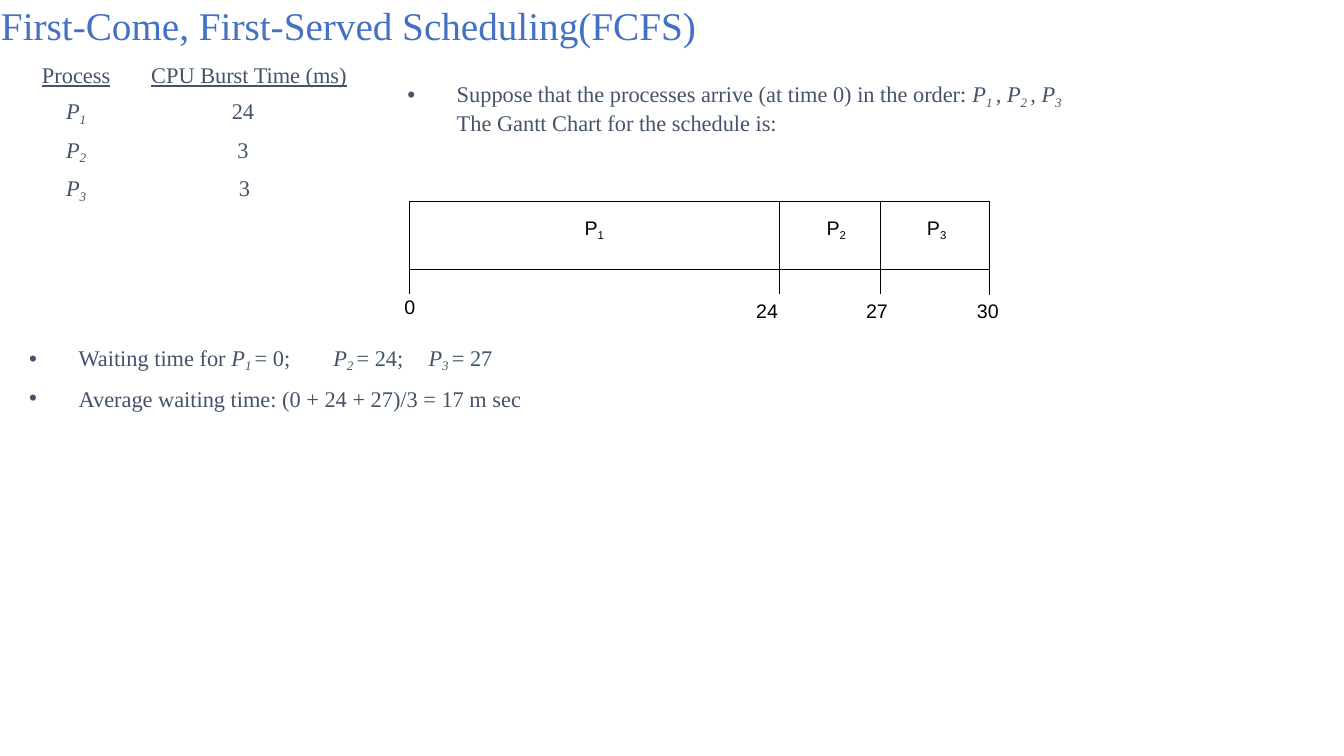
"""Build a slide that explains first-come, first-served scheduling."""
from lxml.etree import SubElement
from pptx import Presentation
from pptx.dml.color import RGBColor
from pptx.enum.text import MSO_ANCHOR, MSO_AUTO_SIZE, PP_ALIGN
from pptx.oxml.ns import qn
from pptx.util import Inches, Pt


def color(hex_value):
    return RGBColor.from_string(hex_value)


def write(paragraph, text, font="Times New Roman", size=16, fill="44536A",
          underline=False, italic=True, align=PP_ALIGN.LEFT, before=0,
          line=None, margin=0.0, indent=0.0):
    paragraph.alignment = align
    paragraph.space_before = Pt(before)
    if line:
        paragraph.line_spacing = Pt(line)
    properties = paragraph._p.get_or_add_pPr()
    properties.set("marL", str(Inches(margin)))
    properties.set("indent", str(Inches(indent)))
    properties.set("defTabSz", str(Inches(1)))
    if not indent:
        SubElement(properties, qn("a:buNone"))
    for position, piece in enumerate(text.split("|")):
        is_process = position % 2 == 1
        parts = (piece[0], piece[1:]) if is_process else (piece,)
        for level, part in enumerate(parts):
            if not part:
                continue
            run = paragraph.add_run()
            run.text = part
            run.font.name = font
            run.font.size = Pt(size)
            run.font.color.rgb = color(fill)
            run.font.underline = underline
            run.font.italic = italic and is_process
            if level:
                run.font._element.set("baseline", "-21000")
    if not text:
        SubElement(paragraph._p, qn("a:endParaRPr"), sz=str(size * 100))


class SlideBuilder:
    def __init__(self, presentation):
        self.slide = presentation.slides.add_slide(presentation.slide_layouts[3])
        self.line_color = "000000"
        self.line_width = Pt(0.75)

    def text(self, shape, box, paragraphs, top_inset=0.01):
        shape.left, shape.top, shape.width, shape.height = map(Inches, box)
        frame = shape.text_frame
        frame.word_wrap = True
        frame.auto_size = MSO_AUTO_SIZE.SHAPE_TO_FIT_TEXT
        frame.vertical_anchor = MSO_ANCHOR.TOP
        frame.margin_left = frame.margin_right = frame.margin_bottom = 0
        frame.margin_top = Inches(top_inset)
        for position, (text, style) in enumerate(paragraphs):
            paragraph = frame.add_paragraph() if position else frame.paragraphs[0]
            write(paragraph, text, **style)

    def placeholder(self, index, box, paragraphs, top_inset=0.01):
        self.text(self.slide.placeholders[index], box, paragraphs, top_inset)

    def label(self, box, text, **style):
        shape = self.slide.shapes.add_textbox(*map(Inches, box))
        self.text(shape, box, [(text, style)])

    def table(self, left, top, widths, heights):
        table = self.slide.shapes.add_table(
            len(heights), len(widths), Inches(left), Inches(top),
            Inches(sum(widths)), Inches(sum(heights))).table
        table.first_row = table.horz_banding = False
        for column, width in zip(table.columns, widths):
            column.width = Inches(width)
        for row, height in zip(table.rows, heights):
            row.height = Inches(height)
        return table

    def cell(self, cell, text, top_inset=0.0, borders=(), **style):
        cell.margin_left = cell.margin_right = cell.margin_bottom = 0
        cell.margin_top = Inches(top_inset)
        properties = cell._tc.get_or_add_tcPr()
        for side in borders:
            line = SubElement(properties, qn(f"a:ln{side}"), w=str(self.line_width))
            fill = SubElement(line, qn("a:solidFill"))
            SubElement(fill, qn("a:srgbClr"), val=self.line_color)
        cell.fill.background()
        write(cell.text_frame.paragraphs[0], text, **style)


def main():
    presentation = Presentation()
    presentation.slide_width = Inches(13.33)
    presentation.slide_height = Inches(7.5)
    builder = SlideBuilder(presentation)
    bullet = {"margin": 0.53, "indent": -0.49}
    chart_text = {"font": "Arial", "size": 14, "fill": "000000", "italic": False}

    builder.placeholder(0, (0, 0, 9.43, 0.49), [
        ("First-Come, First-Served Scheduling(FCFS)",
         {"size": 28, "fill": "4471C4", "before": 1.1, "margin": 0.01})])

    bursts = builder.table(0.25, 0.62, (1.01, 2.28), (0.32, 0.4, 0.38, 0.34))
    header = {"underline": True, "line": 18.5}
    builder.cell(bursts.cell(0, 0), "Process", align=PP_ALIGN.CENTER, **header)
    builder.cell(bursts.cell(0, 1), "CPU Burst Time (ms)", margin=0.24, **header)
    rows = (("24", 0.05, 3.5, 0.02), ("3", 0.03, 2.1, 0.02), ("3", 0.03, 2.2, 0.05))
    for row, (burst, inset, before, margin) in enumerate(rows, 1):
        for column, (text, shift) in enumerate(((f"|P{row}|", 0), (burst, margin))):
            builder.cell(bursts.cell(row, column), text, inset, before=before,
                         margin=shift, align=PP_ALIGN.CENTER)

    builder.placeholder(1, (4, 0.83, 6.99, 0.54), [
        ("Suppose that the processes arrive (at time 0) in the order: "
         "|P1 |, |P2 |, |P3|", {"line": 18.2, "before": 1.1, **bullet}),
        ("The Gantt Chart for the schedule is:", {"line": 18.2, "margin": 0.53})])

    gantt = builder.table(4.06, 2, (3.67, 1, 1.08), (0.67, 0.25))
    for column, margin in enumerate((0, 0.13, 0.04)):
        builder.cell(gantt.cell(0, column), f"|P{column + 1}|", 0.16, "LRTB",
                     before=11.8, margin=margin, align=PP_ALIGN.CENTER, **chart_text)
        builder.cell(gantt.cell(1, column), "", borders="LRT", **chart_text)

    ticks = (("0", 4, 2.92), ("24", 7.49, 2.96), ("27", 8.58, 2.96), ("30", 9.68, 2.96))
    for time, left, top in ticks:
        builder.label((left, top, 0.24, 0.26), time, before=0.9, margin=0.01, **chart_text)

    builder.placeholder(2, (0.25, 3.33, 6.17, 0.74), [
        ("Waiting time for |P1 |= 0;\t |P2 |= 24; \t|P3 |= 27", {"before": 6, **bullet}),
        ("Average waiting time: (0 + 24 + 27)/3 = 17 m sec", {"before": 8.2, **bullet})],
        top_inset=0.08)

    presentation.save("out.pptx")


if __name__ == "__main__":
    main()
